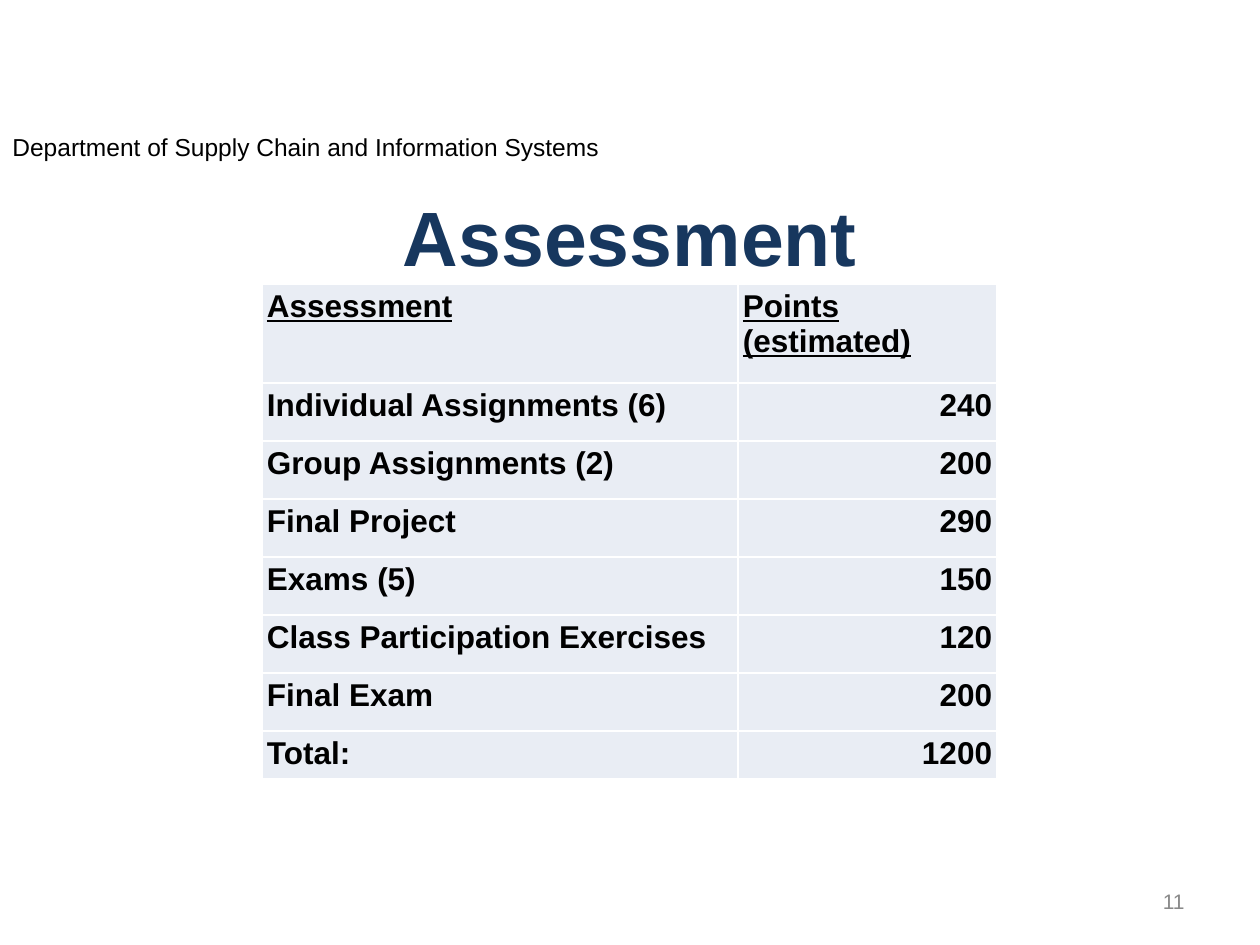
from dataclasses import dataclass
from lxml.etree import SubElement as Sub
from pptx import Presentation
from pptx.dml.color import RGBColor as Rgb
from pptx.enum.text import MSO_ANCHOR as Anchor, PP_ALIGN as Align
from pptx.oxml.ns import qn
from pptx.util import Emu, Pt

SCALE = 914400 / 126


@dataclass(frozen=True)
class Theme:
    face: str = "Arial"
    ink: str = "000000"
    navy: str = "17375E"
    gray: str = "898989"
    pale: str = "E9EDF4"
    rule: str = "FFFFFF"
    head: int = 44
    body: int = 18
    note: int = 14
    foot: int = 12


THEME = Theme()
ROWS = [
    ("Assessment", "Points (estimated)"),
    ("Individual Assignments (6)", "240"),
    ("Group Assignments (2)", "200"),
    ("Final Project", "290"),
    ("Exams (5)", "150"),
    ("Class Participation Exercises", "120"),
    ("Final Exam", "200"),
    ("Total:", "1200"),
]


def px(n):
    return Emu(round(n * SCALE))


def write(frame, text, size, color, align=Align.LEFT, bold=False, under=False):
    frame.word_wrap = True
    para = frame.paragraphs[0]
    para.text = text
    para.alignment = align
    font = para.font
    font.name, font.size = THEME.face, Pt(size)
    font.bold, font.underline = bold, under
    font.color.rgb = Rgb.from_string(color)


def label(slide, box, text, size, color, align=Align.LEFT, anchor=Anchor.TOP):
    frame = slide.shapes.add_textbox(*map(px, box)).text_frame
    frame.vertical_anchor = anchor
    write(frame, text, size, color, align)


def title(slide, box, text):
    shape = slide.shapes.title
    shape.left, shape.top, shape.width, shape.height = map(px, box)
    shape.text_frame.vertical_anchor = Anchor.MIDDLE
    write(shape.text_frame, text, THEME.head, THEME.navy, Align.CENTER, True)


def edge(cell):
    props = cell._tc.get_or_add_tcPr()
    for i, side in enumerate(("lnL", "lnR", "lnT", "lnB")):
        line = props.makeelement(qn("a:" + side), {"w": str(Pt(1))})
        fill = Sub(line, qn("a:solidFill"))
        Sub(fill, qn("a:srgbClr"), val=THEME.rule)
        props.insert(i, line)


def points(slide, box, rows):
    left, top, width, height = box
    first, step = 99, 58
    last = height - first - step * (len(rows) - 2)
    wide = round(width * 0.648)
    table = slide.shapes.add_table(len(rows), 2, *map(px, box)).table
    table.first_row = table.horz_banding = False
    for col, size in zip(table.columns, (wide, width - wide)):
        col.width = px(size)
    sizes = [first] + [step] * (len(rows) - 2) + [last]
    for r, (row, size) in enumerate(zip(rows, sizes)):
        table.rows[r].height = px(size)
        for c, text in enumerate(row):
            cell = table.cell(r, c)
            cell.margin_left = cell.margin_right = px(5)
            cell.margin_top = cell.margin_bottom = px(5)
            cell.fill.solid()
            cell.fill.fore_color.rgb = Rgb.from_string(THEME.pale)
            align = Align.RIGHT if r and c else Align.LEFT
            write(cell.text_frame, text, THEME.body, THEME.ink, align, True, r == 0)
            edge(cell)


def build():
    deck = Presentation()
    deck.slide_width, deck.slide_height = px(1260), px(945)
    slide = deck.slides.add_slide(deck.slide_layouts[5])
    label(slide, (0, 126, 1260, 43),
          "Department of Supply Chain and Information Systems", THEME.note, THEME.ink)
    title(slide, (63, 168, 1134, 136), "Assessment")
    label(slide, (903, 876, 294, 50), "11", THEME.foot, THEME.gray,
          Align.RIGHT, Anchor.MIDDLE)
    points(slide, (262, 284, 735, 490), ROWS)
    deck.save("out.pptx")


build()
